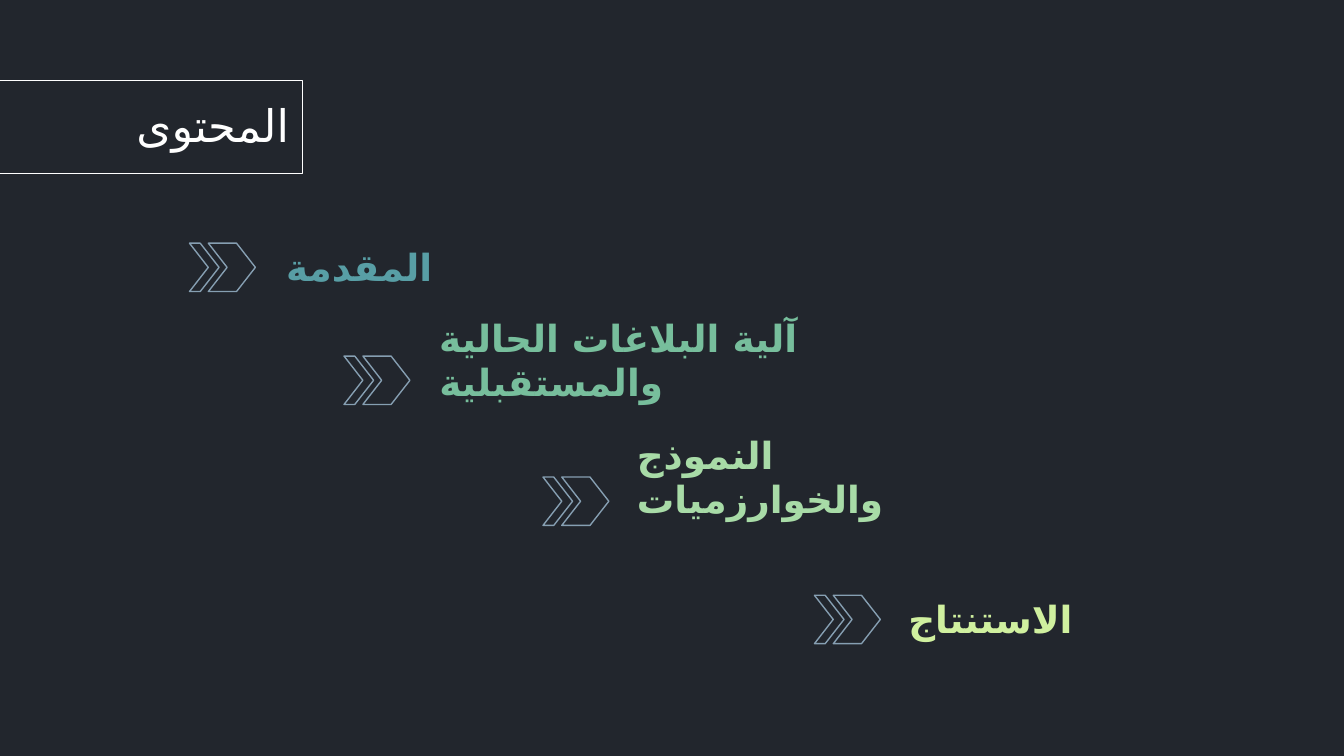
from pptx import Presentation
from pptx import util as u
from pptx.dml.color import RGBColor
from pptx.enum import shapes, text
from pptx.oxml.ns import qn
from lxml import etree

Inches = u.Inches


def color(hex_value):
    return RGBColor.from_string(hex_value)


class Deck:
    FONT, ARABIC_FONT = "Calibri", "DejaVu Sans"
    BACK, WHITE, ARROW = "22262D", "FFFFFF", "869FB2"
    ARROW_H, POINT = 0.36, 0.14

    def __init__(self, width, height):
        self.prs = Presentation()
        self.prs.slide_width, self.prs.slide_height = Inches(width), Inches(height)
        self.s = self.prs.slides.add_slide(self.prs.slide_layouts[6])
        fill = self.s.background.fill
        fill.solid()
        fill.fore_color.rgb = color(self.BACK)

    def outline(self, sp, line):
        sp.shadow.inherit = False
        sp.fill.background()
        sp.line.color.rgb = color(line)
        sp.line.width = u.Pt(0.75)

    def frame(self, *box):
        sp = self.s.shapes.add_shape(shapes.MSO_SHAPE.RECTANGLE, *map(Inches, box))
        self.outline(sp, self.WHITE)

    def label(self, words, box, fill, size=20, bold=True,
              align=text.PP_ALIGN.LEFT, anchor=text.MSO_ANCHOR.BOTTOM):
        """Add a right-to-left text box."""
        tf = self.s.shapes.add_textbox(*map(Inches, box)).text_frame
        margins = {f"margin_{side}": Inches(0.1) for side in ("left", "top", "right", "bottom")}
        for name, value in {"word_wrap": True, "vertical_anchor": anchor, **margins}.items():
            setattr(tf, name, value)
        p = tf.paragraphs[0]
        p.alignment = align
        p._p.get_or_add_pPr().set("rtl", "1")
        r = p.add_run()
        r.text = words
        for name, value in {"name": self.FONT, "size": u.Pt(size), "bold": bold}.items():
            setattr(r.font, name, value)
        r.font.color.rgb = color(fill)
        # Arabic takes its typeface from the complex-script font
        etree.SubElement(r._r.get_or_add_rPr(), qn("a:cs"), typeface=self.ARABIC_FONT)

    def chevron(self, group, x, y, width):
        middle, bottom = y + self.ARROW_H / 2, y + self.ARROW_H
        shoulder = x + width - self.POINT
        points = [(x + self.POINT, middle), (x, bottom), (shoulder, bottom),
                  (x + width, middle), (shoulder, y)]
        builder = group.shapes.build_freeform(Inches(x), Inches(y))
        builder.add_line_segments([(Inches(a), Inches(b)) for a, b in points], close=True)
        self.outline(builder.convert_to_shape(), self.ARROW)

    def double_arrow(self, x, y):
        group = self.s.shapes.add_group_shape()
        self.chevron(group, x + self.POINT, y, 0.35)
        self.chevron(group, x, y, 0.22)


def main():
    deck = Deck(10, 10 * 9 / 16)
    deck.frame(-0.1, 0.6, 2.35, 0.69)
    deck.label("المحتوى", (0.79, 0.41, 1.46, 1.03), deck.WHITE, size=24, bold=False,
               align=text.PP_ALIGN.RIGHT, anchor=text.MSO_ANCHOR.MIDDLE)
    topics = [
        ("المقدمة", (2.03, 1.62, 2.46, 0.63), "589EA5", (1.41, 1.81)),
        ("آلية البلاغات الحالية والمستقبلية", (3.17, 2.48, 3.26, 0.63), "77BE9C", (2.56, 2.65)),
        ("النموذج والخوارزميات", (4.64, 3.35, 2.46, 0.63), "A8DBA7", (4.04, 3.55)),
        ("الاستنتاج", (6.66, 4.41, 2.46, 0.46), "D0F09F", (6.06, 4.43)),
    ]
    for words, box, fill, arrow in topics:
        deck.label(words, box, fill)
        deck.double_arrow(*arrow)
    deck.prs.save("out.pptx")


if __name__ == "__main__":
    main()
